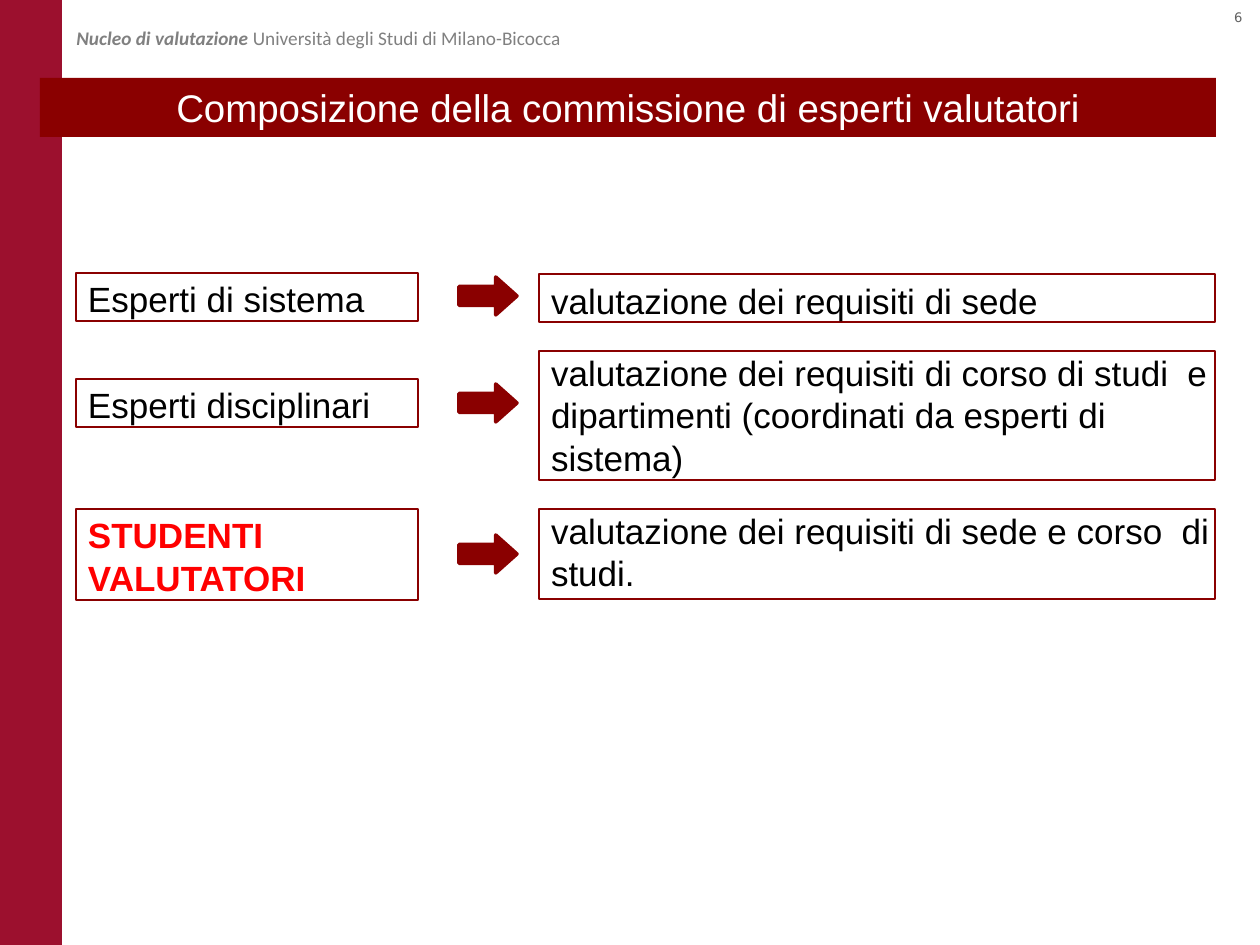
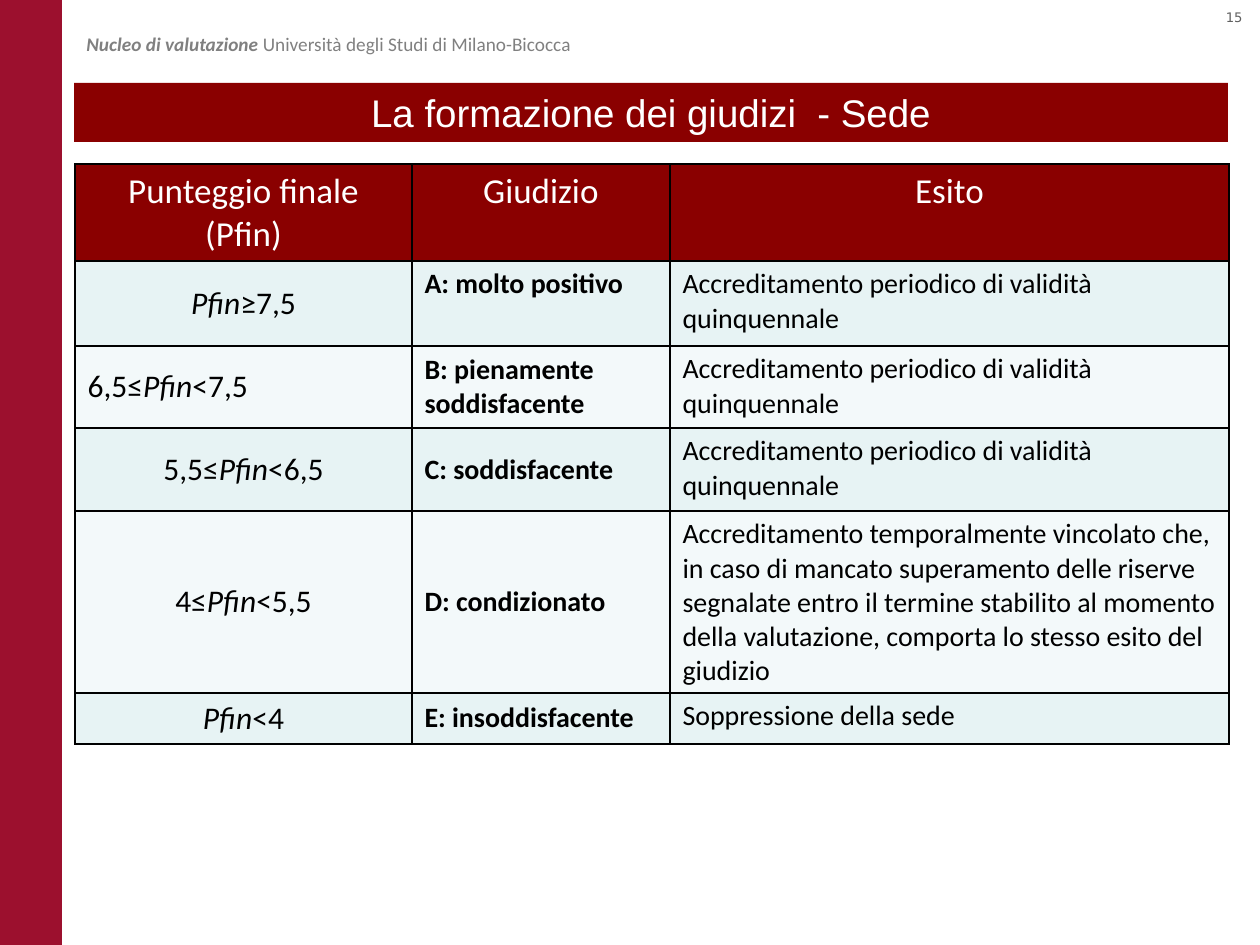
from pptx import Presentation
from pptx import util as u
from pptx.dml.color import RGBColor
from pptx.enum import shapes, text
from pptx.oxml import parse_xml
from pptx.oxml.ns import nsdecls

PX = 914400 / 126
CRIMSON = RGBColor(0x9C, 0x10, 0x2E)
DARK_RED = RGBColor(0x8A, 0x00, 0x00)
RED = RGBColor(0xFF, 0x00, 0x00)
BLACK = RGBColor(0x00, 0x00, 0x00)
WHITE = RGBColor(0xFF, 0xFF, 0xFF)
GREY = RGBColor(0x80, 0x80, 0x80)
NUMBER_GREY = RGBColor(0x60, 0x60, 0x60)
ROW_TINTS = RGBColor(0xE7, 0xF3, 0xF4), RGBColor(0xF3, 0xF9, 0xFA)

LEFT, CENTER, RIGHT = text.PP_ALIGN.LEFT, text.PP_ALIGN.CENTER, text.PP_ALIGN.RIGHT
TOP, MIDDLE = text.MSO_ANCHOR.TOP, text.MSO_ANCHOR.MIDDLE
RECT, ARROW = shapes.MSO_SHAPE.RECTANGLE, shapes.MSO_SHAPE.RIGHT_ARROW


def px(n):
    return u.Emu(round(n * PX))


class Deck:
    def __init__(self):
        self.prs = Presentation()
        self.prs.slide_width, self.prs.slide_height = px(1260), px(945)
        self.s = None

    def slide(self, number, title, header_at, title_at):
        self.s = self.prs.slides.add_slide(self.prs.slide_layouts[6])
        self.label((1193, 3, 62, 29), str(number), 7.5, "DejaVu Sans", NUMBER_GREY, RIGHT)
        self.shape(RECT, (0, 0, 62, 945), fill=CRIMSON)
        self.label((*header_at, 645, 37),
                   "*Nucleo di valutazione *Università degli Studi di Milano-Bicocca",
                   11, "Calibri", GREY, emphasis_bold=True)
        sp = self.shape(RECT, title_at, fill=DARK_RED)
        sp.text_frame.vertical_anchor = MIDDLE
        self.fill_text(sp.text_frame, title, 22, "Arial", WHITE, CENTER)

    def fill_text(self, tf, content, size, font, color, align=LEFT, bold=False,
                  emphasis_bold=False, before=0):
        tf.word_wrap = True
        for i, line in enumerate(content.split("\n")):
            p = tf.paragraphs[0] if i == 0 else tf.add_paragraph()
            p.alignment = align
            p.space_before = u.Pt(before)
            p.font.size, p.font.name, p.font.bold = u.Pt(size), font, bold
            p.font.color.rgb = color
            for j, part in enumerate(line.split("*")):
                if part:
                    r = p.add_run()
                    r.text = part
                    r.font.size, r.font.name = u.Pt(size), font
                    r.font.color.rgb = color
                    r.font.italic = j % 2 == 1
                    r.font.bold = bold or (emphasis_bold and j % 2 == 1)

    def label(self, at, content, *style, **options):
        sp = self.s.shapes.add_textbox(*map(px, at))
        self.fill_text(sp.text_frame, content, *style, **options)

    def shape(self, kind, at, fill=None, line=None, width=0.75):
        sp = self.s.shapes.add_shape(kind, *map(px, at))
        sp.shadow.inherit = False
        if fill is None:
            sp.fill.background()
        else:
            sp.fill.solid()
            sp.fill.fore_color.rgb = fill
        if line is None:
            sp.line.fill.background()
        else:
            sp.line.color.rgb = line
            sp.line.width = u.Pt(width)
        return sp

    def box(self, at, content, inset=5, before=3, color=BLACK, bold=False, anchor=TOP):
        tf = self.shape(RECT, at, line=DARK_RED).text_frame
        tf.margin_left, tf.margin_top = px(12), px(inset)
        tf.margin_right = tf.margin_bottom = 0
        tf.vertical_anchor = anchor
        self.fill_text(tf, content, 20, "Arial", color, bold=bold, before=before)

    def arrow(self, x, y):
        sp = self.shape(ARROW, (x, y, 58, 38), fill=DARK_RED, line=DARK_RED, width=2)
        sp.adjustments[0], sp.adjustments[1] = 0.5, 0.56

    def table(self, x, y, widths, heights):
        t = self.s.shapes.add_table(len(heights), len(widths), px(x), px(y),
                                    px(sum(widths)), px(sum(heights))).table
        t.first_row = t.horz_banding = False
        for col, w in zip(t.columns, widths):
            col.width = px(w)
        for row, h in zip(t.rows, heights):
            row.height = px(h)
        return t

    def cell(self, c, content, fill, size, color=BLACK, align=LEFT, bold=False, anchor=TOP):
        c.vertical_anchor = anchor
        self.fill_text(c.text_frame, content, size, "Calibri", color, align, bold)
        tcPr = c._tc.get_or_add_tcPr()
        for side in "LRTB":
            tcPr.append(parse_xml(
                f'<a:ln{side} {nsdecls("a")} w="12700"><a:solidFill>'
                f'<a:srgbClr val="{BLACK}"/></a:solidFill></a:ln{side}>'))
        c.fill.solid()
        c.fill.fore_color.rgb = fill


def committee(deck):
    deck.slide(6, "Composizione della commissione di esperti valutatori",
               (64, 20), (40, 78, 1176, 59))
    left, right = (76, 342), (539, 676)
    experts = [
        (273, 48, "Esperti di sistema", {}),
        (379, 48, "Esperti disciplinari", {}),
        (509, 91, "STUDENTI VALUTATORI", dict(color=RED, bold=True)),
    ]
    tasks = [
        (274, 48, "valutazione dei requisiti di sede", dict(anchor=MIDDLE)),
        (351, 129, "valutazione dei requisiti di corso di studi  e dipartimenti "
                   "(coordinati da esperti di  sistema)", dict(inset=1, before=1)),
        (509, 90, "valutazione dei requisiti di sede e corso  di studi.",
         dict(inset=1, before=1)),
    ]
    for (x, w), boxes in ((left, experts), (right, tasks)):
        for y, h, content, options in boxes:
            deck.box((x, y, w, h), content, **options)
    for y in (277, 384, 535):
        deck.arrow(459, y)


def judgements(deck):
    deck.slide(15, "La formazione dei giudizi  - Sede", (74, 26), (74, 83, 1154, 59))
    t = deck.table(75, 164, (337, 258, 559), (97, 85, 82, 83, 182, 51))
    for j, heading in enumerate(("Punteggio finale\n(Pfin)", "Giudizio", "Esito")):
        deck.cell(t.cell(0, j), heading, DARK_RED, 20, WHITE, CENTER)
    five_years = "Accreditamento periodico di validità quinquennale"
    rows = [
        ("*Pfin*≥7,5", CENTER, "A: molto positivo", TOP, five_years),
        ("6,5≤*Pfin*<7,5", LEFT, "B: pienamente soddisfacente", MIDDLE, five_years),
        ("5,5≤*Pfin*<6,5", CENTER, "C: soddisfacente", MIDDLE, five_years),
        ("4≤*Pfin*<5,5", CENTER, "D: condizionato", MIDDLE,
         "Accreditamento temporalmente vincolato che, in caso di mancato superamento "
         "delle riserve segnalate entro il termine stabilito al momento della "
         "valutazione, comporta lo stesso esito del giudizio"),
        ("*Pfin*<4", CENTER, "E: insoddisfacente", MIDDLE, "Soppressione della sede"),
    ]
    for i, (score, align, judgement, anchor, outcome) in enumerate(rows, 1):
        tint = ROW_TINTS[(i - 1) % 2]
        deck.cell(t.cell(i, 0), score, tint, 18, align=align, anchor=MIDDLE)
        deck.cell(t.cell(i, 1), judgement, tint, 16, bold=True, anchor=anchor)
        deck.cell(t.cell(i, 2), outcome, tint, 16)


def main():
    deck = Deck()
    committee(deck)
    judgements(deck)
    deck.prs.save("out.pptx")


if __name__ == "__main__":
    main()
